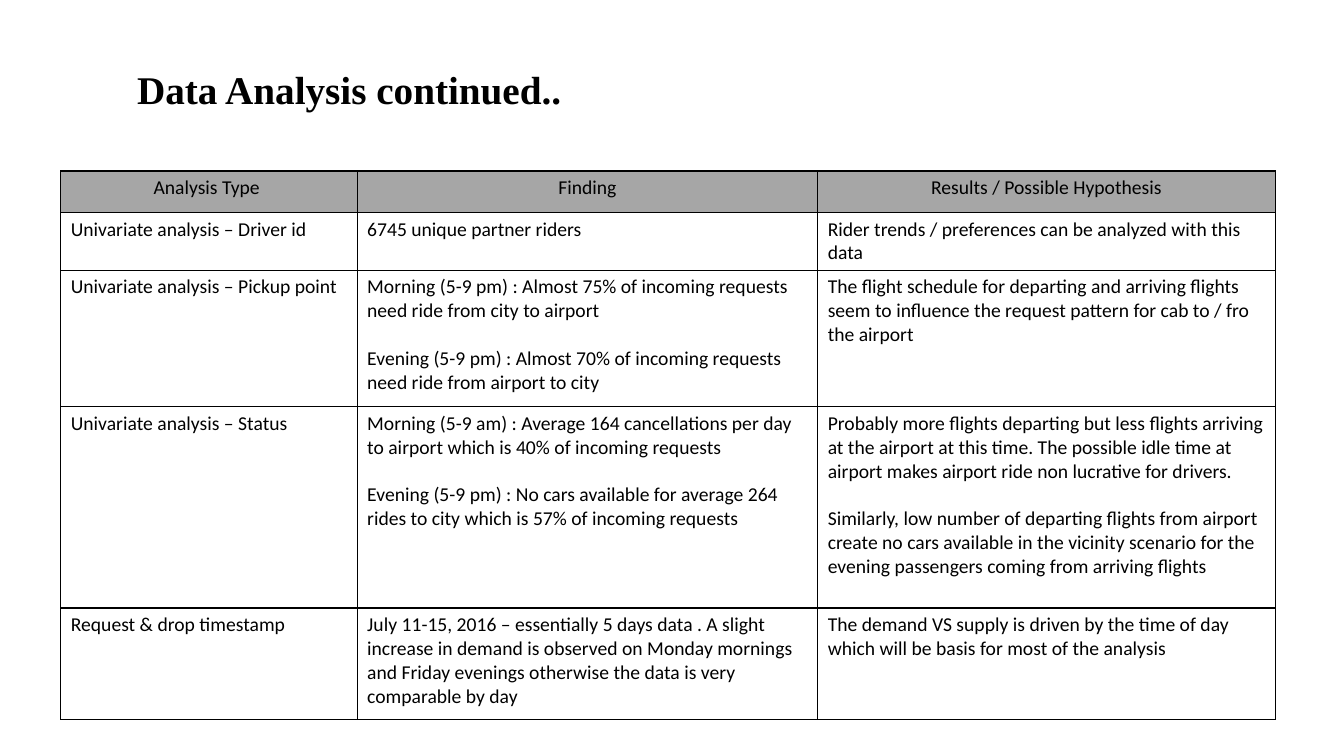
"""Builds the data analysis slide with its table of findings."""
from dataclasses import dataclass

import lxml.etree
import pptx
import pptx.dml.color
import pptx.enum.text
import pptx.oxml.ns
import pptx.util

Pt = pptx.util.Pt
ALIGN = pptx.enum.text.PP_ALIGN
ANCHOR = pptx.enum.text.MSO_ANCHOR
COLORS = {"text": "000000", "border": "000000", "header": "A6A6A6"}
COLUMN_WIDTHS = (211.7, 329, 326.9)
HEADERS = ("Analysis Type ", "Finding", "Results / Possible Hypothesis")
PARAGRAPH_GAP = 17


@dataclass
class Analysis:
    """One table row, with a list of paragraphs for each wordy cell."""
    height: float
    kind: str
    findings: list[str]
    results: list[str]


ANALYSES = [
    Analysis(41.4, "Univariate analysis – Driver id",
             ["6745 unique partner riders"],
             ["Rider trends / preferences can be analyzed with this data"]),
    Analysis(97.4, "Univariate analysis – Pickup point",
             ["Morning (5-9 pm) : Almost 75% of incoming requests need ride from city to airport",
              "Evening (5-9 pm) : Almost 70% of incoming requests need ride from airport to city"],
             ["The flight schedule for departing and arriving flights seem to influence "
              "the request pattern for cab to / fro the airport"]),
    Analysis(143.8, "Univariate analysis – Status",
             ["Morning (5-9 am) : Average 164 cancellations per day to airport "
              "which is 40% of incoming requests",
              "Evening (5-9 pm) : No cars available for average 264 rides to city "
              "which is 57% of incoming requests"],
             ["Probably more flights departing but less flights arriving at the airport at this time. "
              "The possible idle time at airport makes airport ride non lucrative for drivers.",
              "Similarly, low number of departing flights from airport create no cars available "
              "in the vicinity scenario for the evening passengers coming from arriving flights"]),
    Analysis(79.6, "Request & drop timestamp",
             ["July 11-15, 2016 – essentially 5 days data . A slight increase in demand is observed "
              "on Monday mornings and Friday evenings otherwise the data is very comparable by day"],
             ["The demand VS supply is driven by the time of day "
              "which will be basis for most of the analysis"]),
]


def write_text(tf, paragraphs: list[str], *, size: float = 14, font: str = "Calibri",
               bold: bool = False, align=ALIGN.LEFT, line_spacing: float = 1.0) -> None:
    """Fill a text frame with formatted paragraphs."""
    for i, text in enumerate(paragraphs):
        p = tf.add_paragraph() if i else tf.paragraphs[0]
        p.alignment = align
        p.line_spacing = line_spacing
        p.space_before = Pt(PARAGRAPH_GAP if i else 0)
        r = p.add_run()
        r.text = text
        r.font.size, r.font.name, r.font.bold = Pt(size), font, bold
        r.font.color.rgb = pptx.dml.color.RGBColor.from_string(COLORS["text"])


def add_borders(cell, width: float = 1) -> None:
    """Draw a solid line on all four sides of a cell."""
    qn = pptx.oxml.ns.qn
    props = cell._tc.get_or_add_tcPr()
    for side in ("lnL", "lnR", "lnT", "lnB"):
        line = lxml.etree.SubElement(props, qn(f"a:{side}"), w=str(Pt(width)))
        fill = lxml.etree.SubElement(line, qn("a:solidFill"))
        lxml.etree.SubElement(fill, qn("a:srgbClr"), val=COLORS["border"])


def add_title(slide, text: str) -> None:
    """Place and format the slide title."""
    sp = slide.shapes.title
    sp.left, sp.top, sp.width, sp.height = Pt(90.7), Pt(31.7), Pt(733.7), Pt(67.7)
    sp.text_frame.vertical_anchor = ANCHOR.MIDDLE
    write_text(sp.text_frame, [text], size=28, font="Times New Roman", bold=True, line_spacing=0.9)


def add_findings(slide) -> None:
    """Add the table of analyses."""
    rows = [(29.5, [[header] for header in HEADERS])]
    rows += [(a.height, [[a.kind], a.findings, a.results]) for a in ANALYSES]
    table = slide.shapes.add_table(
        len(rows), len(HEADERS), Pt(43.4), Pt(122.2),
        Pt(sum(COLUMN_WIDTHS)), Pt(sum(height for height, _ in rows))).table
    table.horz_banding = False
    for column, width in zip(table.columns, COLUMN_WIDTHS):
        column.width = Pt(width)
    for i, (height, texts) in enumerate(rows):
        table.rows[i].height = Pt(height)
        for cell, paragraphs in zip(table.rows[i].cells, texts):
            add_borders(cell)
            if i == 0:
                cell.fill.solid()
                cell.fill.fore_color.rgb = pptx.dml.color.RGBColor.from_string(COLORS["header"])
            else:
                cell.fill.background()
            write_text(cell.text_frame, paragraphs, align=ALIGN.LEFT if i else ALIGN.CENTER)


def main() -> None:
    """Build and save the presentation."""
    prs = pptx.Presentation()
    prs.slide_width, prs.slide_height = Pt(960), Pt(540)
    s = prs.slides.add_slide(prs.slide_layouts[5])
    add_title(s, "Data Analysis continued..")
    add_findings(s)
    prs.save("out.pptx")


main()
